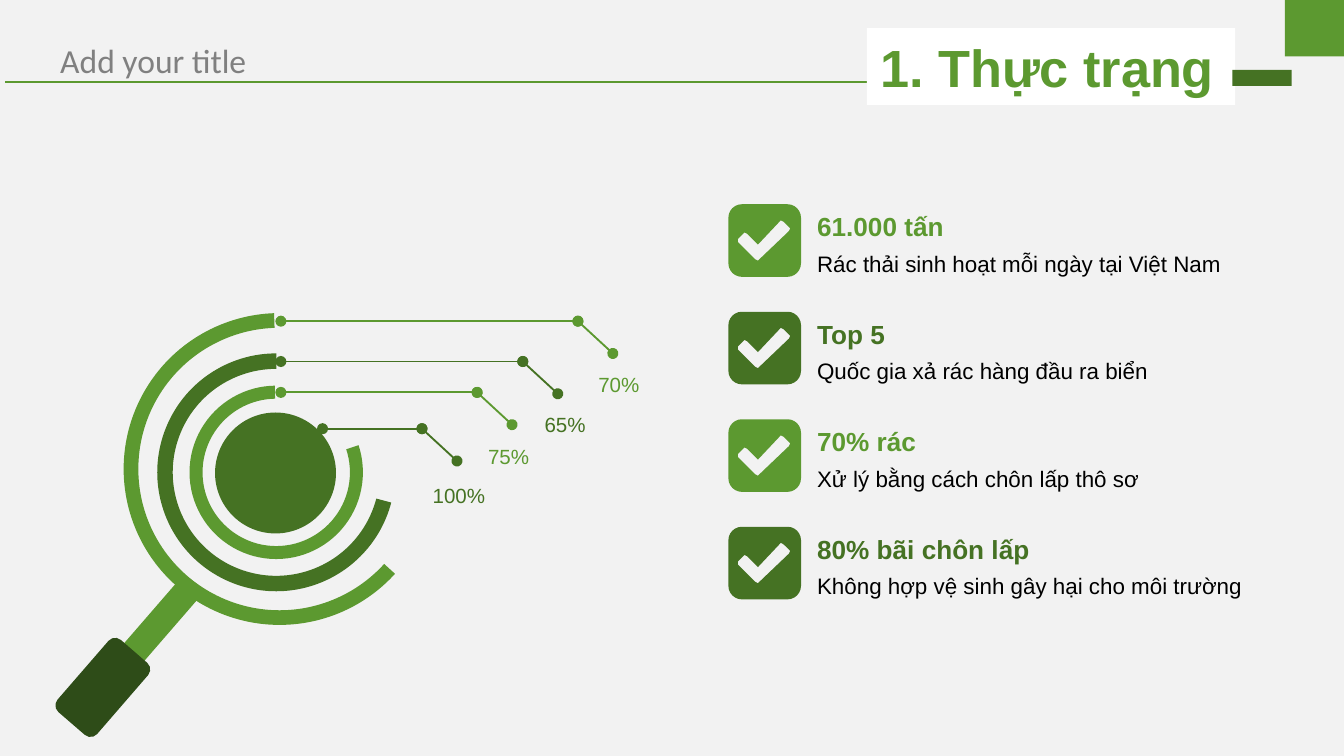
import math

from lxml import etree
from pptx import Presentation
from pptx.dml.color import RGBColor
from pptx.enum.shapes import MSO_CONNECTOR, MSO_SHAPE
from pptx.enum.text import MSO_ANCHOR, MSO_AUTO_SIZE, PP_ALIGN
from pptx.oxml.ns import qn
from pptx.util import Inches, Pt

RECT, ROUND_RECT = MSO_SHAPE.RECTANGLE, MSO_SHAPE.ROUNDED_RECTANGLE
OVAL, BLOCK_ARC = MSO_SHAPE.OVAL, MSO_SHAPE.BLOCK_ARC
STRAIGHT = MSO_CONNECTOR.STRAIGHT
LEFT, CENTER = PP_ALIGN.LEFT, PP_ALIGN.CENTER
TOP, BOTTOM = MSO_ANCHOR.TOP, MSO_ANCHOR.BOTTOM

COLORS = {
    "background": "F2F2F2",
    "green": "5C9930",
    "dark": "457223",
    "handle": "2E4C18",
    "gray": "808080",
    "white": "FFFFFF",
    "black": "000000",
}
CHECK_MARK = [
    (0.45, 0.2), (0.46, 0.18), (0.45, 0.17), (0.41, 0.13), (0.39, 0.12), (0.38, 0.13),
    (0.22, 0.3), (0.14, 0.22), (0.12, 0.21), (0.11, 0.22), (0.07, 0.26), (0.07, 0.28),
    (0.2, 0.41), (0.22, 0.42), (0.23, 0.41),
]
FACTS = [
    ("61.000 tấn", "Rác thải sinh hoạt mỗi ngày tại Việt Nam"),
    ("Top 5", "Quốc gia xả rác hàng đầu ra biển"),
    ("70% rác", "Xử lý bằng cách chôn lấp thô sơ"),
    ("80% bãi chôn lấp", "Không hợp vệ sinh gây hại cho môi trường"),
]
# Label, start x, elbow x, line y, label left, label top: relative to the magnifier
CALLOUTS = [
    ("70%", 1.68, 3.89, 0.06, 4.04, 0.42),
    ("65%", 1.68, 3.48, 0.36, 3.64, 0.72),
    ("75%", 1.68, 3.14, 0.59, 3.22, 0.96),
    ("100%", 1.99, 2.73, 0.86, 2.81, 1.25),
]


def rgb(name):
    return RGBColor.from_string(COLORS[name])


def alternating(index):
    return ("green", "dark")[index % 2]


def paint(shape, color):
    shape.shadow.inherit = False
    shape.fill.solid()
    shape.fill.fore_color.rgb = rgb(color)
    shape.line.fill.background()


def add_block(page, kind, box, color, rotation=0, adjustments=()):
    shape = page.shapes.add_shape(kind, *(Inches(length) for length in box))
    paint(shape, color)
    shape.rotation = rotation
    for index, value in enumerate(adjustments):
        shape.adjustments[index] = value


def add_line(page, start, end, color, width=1, dots=False):
    line = page.shapes.add_connector(STRAIGHT, *(Inches(v) for v in (*start, *end)))
    line.line.color.rgb = rgb(color)
    line.line.width = Pt(width)
    if dots:
        outline = line.line._get_or_add_ln()
        for tag in ("a:headEnd", "a:tailEnd"):
            etree.SubElement(outline, qn(tag), type="oval")
    etree.SubElement(line._element.spPr, qn("a:effectLst"))


def write(frame, text, size, color, font="Arial", bold=False, align=LEFT,
          anchor=TOP, spacing=None, margins=None, wrap=False):
    frame.text = text
    frame.word_wrap = wrap
    frame.auto_size = MSO_AUTO_SIZE.NONE
    frame.vertical_anchor = anchor
    if margins is not None:
        frame.margin_left = frame.margin_right = Inches(margins)
        frame.margin_top = frame.margin_bottom = Inches(margins)
    para = frame.paragraphs[0]
    para.alignment = align
    if spacing:
        para.line_spacing = spacing
    para.font.name = font
    para.font.size = Pt(size)
    para.font.bold = bold
    para.font.color.rgb = rgb(color)


def add_text(page, box, text, **style):
    text_box = page.shapes.add_textbox(*(Inches(length) for length in box))
    write(text_box.text_frame, text, **style)


def add_header(page):
    add_text(page, (0.35, 0.25, 1.6, 0.4), "Add your title", size=18,
             color="gray", font="Calibri")
    add_line(page, (0.04, 0.61), (9.55, 0.61), "green", width=0.75)
    title = page.shapes.title
    title.left, title.top = Inches(6.45), Inches(0.21)
    title.width, title.height = Inches(2.74), Inches(0.57)
    paint(title, "white")
    write(title.text_frame, "1. Thực trạng", size=28, color="green", bold=True, wrap=True)
    page.shapes._spTree.append(title._element)  # in front of the rule
    add_block(page, RECT, (9.56, -0.02, 0.44, 0.44), "green")
    add_block(page, RECT, (9.17, 0.52, 0.44, 0.12), "dark")


def add_magnifier(page, left, top):
    def part(kind, x, y, width, height, color, rotation=45, adjustments=()):
        add_block(page, kind, (left + x, top + y, width, height), color,
                  rotation, adjustments)

    part(BLOCK_ARC, 0.76, 0.3, 1.77, 1.77, "dark", adjustments=(197.825, 135.073, 0.065))
    part(RECT, 0.63, 1.91, 0.2, 0.9, "green", rotation=40.9)
    part(ROUND_RECT, 0.16, 2.43, 0.39, 0.71, "handle", rotation=40.9)
    part(BLOCK_ARC, 0.51, 0, 2.32, 2.32, "green", adjustments=(214.334, 133.782, 0.047))
    part(BLOCK_ARC, 1, 0.54, 1.29, 1.29, "green", adjustments=(178.059, 134.448, 0.075))
    part(OVAL, 1.19, 0.74, 0.9, 0.9, "dark")


def add_callouts(page, left, top):
    for index, (label, start, elbow, y, label_left, label_top) in enumerate(CALLOUTS):
        color = alternating(index)
        corner = (left + elbow, top + y)
        tip = (corner[0] + 0.26, corner[1] + 0.24)
        add_line(page, tip, corner, color, dots=True)
        add_line(page, corner, (left + start, top + y), color, dots=True)
        width = 0.31 if len(label) == 3 else 0.39
        add_text(page, (left + label_left, top + label_top, width, 0.2), label, size=11,
                 color=color, align=CENTER, anchor=BOTTOM, spacing=1.2, margins=0)


def add_check_badge(page, left, top, color, side=0.54, radius=0.1):
    """Draw a rounded square with a check mark cut out of it."""
    near, far = radius, side - radius
    corners = [(far, far), (near, far), (near, near), (far, near)]
    square = []
    for quarter, (x, y) in enumerate(corners):
        for step in range(7):
            angle = math.radians(90 * quarter + 15 * step)
            square.append((x + radius * math.cos(angle), y + radius * math.sin(angle)))

    def place(points):
        return [(Inches(left + x), Inches(top + y)) for x, y in points]

    square, mark = place(square), place(CHECK_MARK)
    builder = page.shapes.build_freeform(*square[0])
    builder.add_line_segments(square[1:])
    builder.move_to(*mark[0])
    builder.add_line_segments(mark[1:])
    paint(builder.convert_to_shape(), color)


def add_facts(page, left, top, pitch=0.797):
    for index, (heading, detail) in enumerate(FACTS):
        color, y = alternating(index), top + index * pitch
        add_check_badge(page, left, y, color)
        add_text(page, (left + 0.66, y, 1.6, 0.26), heading, size=14, color=color,
                 bold=True, spacing=1.2, margins=0, wrap=True)
        add_text(page, (left + 0.66, y + 0.3, 3.4, 0.22), detail, size=12,
                 color="black", spacing=1.2, margins=0, wrap=True)


def main():
    deck = Presentation()
    deck.slide_width = Inches(10)
    deck.slide_height = deck.slide_width * 9 // 16
    page = deck.slides.add_slide(deck.slide_layouts[5])
    page.background.fill.solid()
    page.background.fill.fore_color.rgb = rgb("background")
    add_magnifier(page, 0.41, 2.33)
    add_callouts(page, 0.41, 2.33)
    add_facts(page, 5.42, 1.52, pitch=0.8)
    add_header(page)
    deck.save("out.pptx")


if __name__ == "__main__":
    main()
